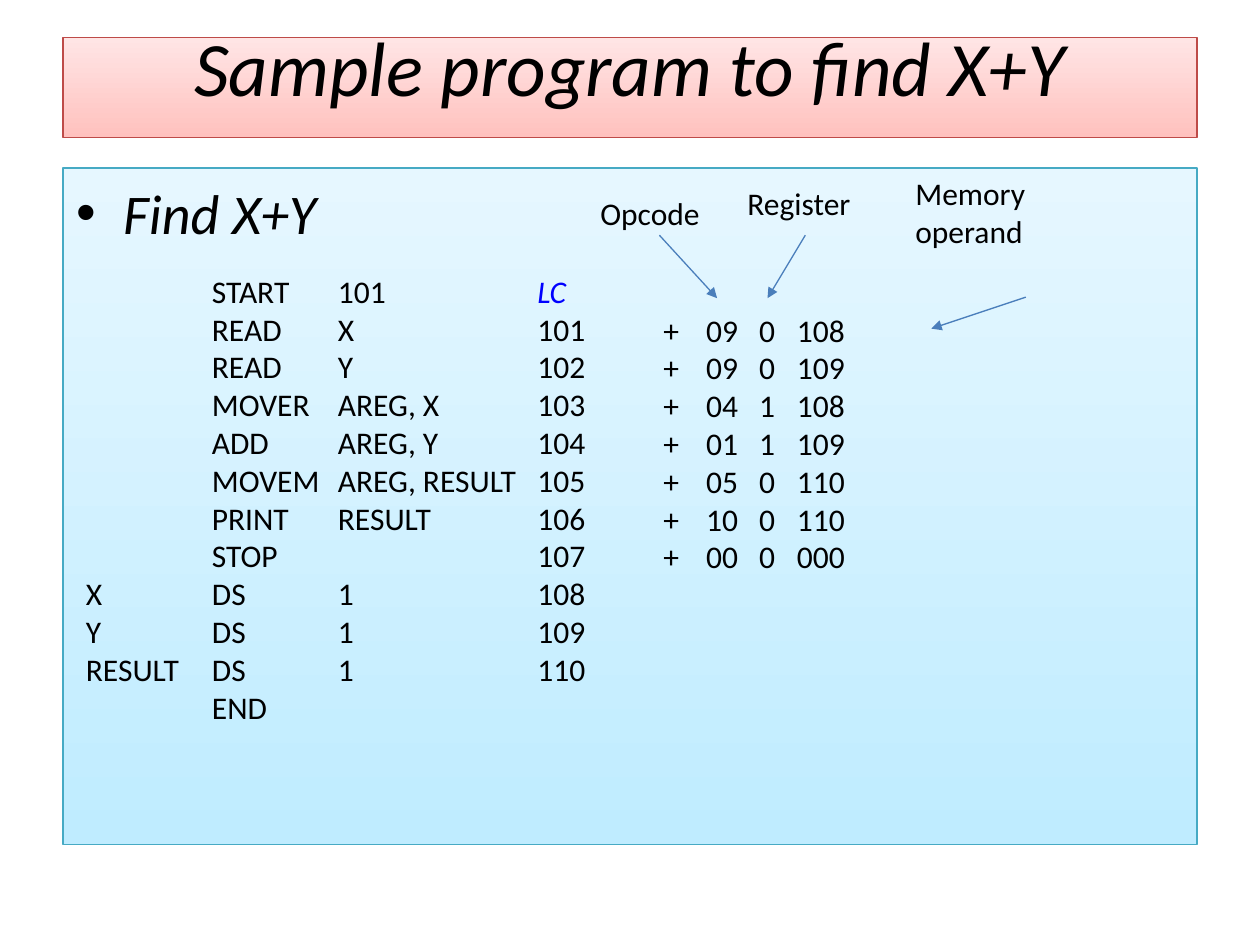
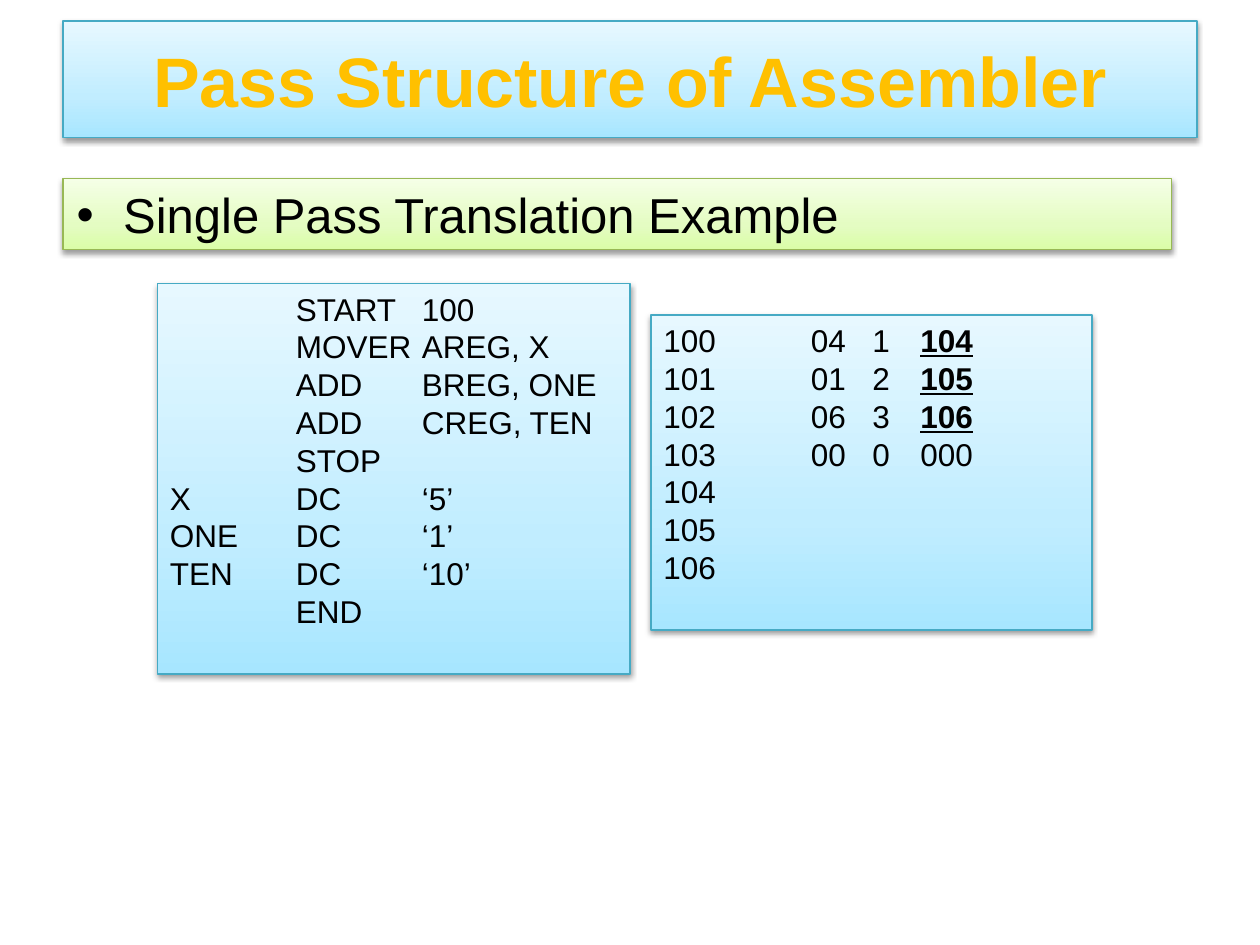
import copy

import pptx
import pptx.dml.color
import pptx.enum.shapes
import pptx.enum.text
import pptx.oxml
import pptx.oxml.ns
import pptx.util
from lxml import etree

COLUMNS, ROWS = 120, 90
WIDTH, HEIGHT = pptx.util.Inches(10), pptx.util.Inches(7.5)
BLACK, BLUE, AMBER = "000000", "0000FF", "FFC000"
ARROW_BLUE = "4A7EBB"
PINK_BAND = (["FFC1BE", "FFE5E5"], "BE4B48")
PALE_BLUE_BAND = (["BFECFF", "E6F7FF"], "46AAC4")
BLUE_BAND = (["A7E6FF", "C1EDFF", "E7F8FF"], "46AAC4")
GREEN_BAND = (["DAFDA7", "E4FCC2", "F5FFE7"], "98B855")
MIDDLE_STOP = 0.35
LISTING_PITCH = 21.6
SOURCE_TABS = (1, 2)
TOP = pptx.enum.text.MSO_ANCHOR.TOP
MIDDLE = pptx.enum.text.MSO_ANCHOR.MIDDLE
LEFT = pptx.enum.text.PP_ALIGN.LEFT
CENTER = pptx.enum.text.PP_ALIGN.CENTER

SUM_SOURCE = [
    "\tSTART\t101", "\tREAD\tX", "\tREAD\tY", "\tMOVER\tAREG, X",
    "\tADD\tAREG, Y", "\tMOVEM\tAREG, RESULT", "\tPRINT\tRESULT", "\tSTOP",
    "X\tDS\t1", "Y\tDS\t1", "RESULT\tDS\t1", "\tEND",
]
SUM_CODES = ["09 0 108", "09 0 109", "04 1 108", "01 1 109",
             "05 0 110", "10 0 110", "00 0 000"]
PASS_SOURCE = [
    "\tSTART\t100", "\tMOVER\tAREG, X", "\tADD\tBREG, ONE",
    "\tADD\tCREG, TEN", "\tSTOP", "X\tDC\t‘5’", "ONE\tDC\t‘1’",
    "TEN\tDC\t‘10’", "\tEND",
]
FORWARD = {"bold": True, "underline": True}
PASS_CODES = [
    ["100\t04\t1\t", ("104", FORWARD)],
    ["101\t01\t2\t", ("105", FORWARD)],
    ["102\t06\t3\t", ("106", FORWARD)],
    "103\t00\t0\t000", "104", "105", "106",
]


def rgb(value):
    return pptx.dml.color.RGBColor.from_string(value)


def across(columns):
    return round(WIDTH * columns / COLUMNS)


def down(rows):
    return round(HEIGHT * rows / ROWS)


def grid_box(left, top, width, height):
    return across(left), down(top), across(width), down(height)


def add_child(parent, tag, **attributes):
    child = etree.SubElement(parent, pptx.oxml.ns.qn(tag))
    for key, value in attributes.items():
        child.set(key, str(value))
    return child


def add_bullet(paragraph):
    properties = paragraph._p.get_or_add_pPr()
    properties.set("marL", str(pptx.util.Inches(0.38)))
    properties.set("indent", str(pptx.util.Inches(-0.37)))
    add_child(properties, "a:buFont", typeface="Arial")
    add_child(properties, "a:buChar", char="•")


def add_tabs(paragraph, stops):
    tab_list = add_child(paragraph._p.get_or_add_pPr(), "a:tabLst")
    for stop in stops:
        add_child(tab_list, "a:tab", pos=pptx.util.Inches(stop), algn="l")


def write_text(holder, lines, font="Calibri", size=18, color=BLACK,
               align=LEFT, anchor=TOP, bullet=False, tabs=(), pitch=None,
               inset_top=0.05, inset_bottom=0.05, **style):
    frame = holder.text_frame
    frame.word_wrap = True
    frame.vertical_anchor = anchor
    frame.margin_top = pptx.util.Inches(inset_top)
    frame.margin_bottom = pptx.util.Inches(inset_bottom)
    for index, line in enumerate(lines):
        paragraph = frame.add_paragraph() if index else frame.paragraphs[0]
        if bullet:
            add_bullet(paragraph)
        if tabs:
            add_tabs(paragraph, tabs)
        paragraph.alignment = align
        if pitch:
            paragraph.line_spacing = pptx.util.Pt(pitch)
        for part in [line] if isinstance(line, str) else line:
            words, changes = (part, {}) if isinstance(part, str) else part
            look = {"color": color, **style, **changes}
            run = paragraph.add_run()
            run.text = words
            run.font.name = font
            run.font.size = pptx.util.Pt(size)
            run.font.color.rgb = rgb(look.pop("color"))
            for key, value in look.items():
                setattr(run.font, key, value)


def add_shadow(band):
    effects = band._element.spPr.find(pptx.oxml.ns.qn("a:effectLst"))
    shadow = add_child(effects, "a:outerShdw", blurRad=pptx.util.Pt(3.1),
                       dist=pptx.util.Pt(1.6), dir=5400000, rotWithShape=0)
    add_child(add_child(shadow, "a:srgbClr", val=BLACK), "a:alpha", val=38000)


def add_band(slide, place, palette, lines, shadow=False, **text_format):
    colors, outline = palette
    band = slide.shapes.add_shape(
        pptx.enum.shapes.MSO_SHAPE.RECTANGLE, *grid_box(*place))
    band.shadow.inherit = False
    band.fill.gradient()
    band.fill.gradient_angle = 90
    if len(colors) == 3:
        stops = band._element.spPr.find(".//" + pptx.oxml.ns.qn("a:gsLst"))
        stops.insert(1, copy.deepcopy(stops[0]))
    positions = [0, MIDDLE_STOP, 1] if len(colors) == 3 else [0, 1]
    for stop, color, position in zip(
            band.fill.gradient_stops, colors, positions):
        stop.color.rgb = rgb(color)
        stop.position = position
    band.line.color.rgb = rgb(outline)
    band.line.width = pptx.util.Pt(0.75)
    if shadow:
        add_shadow(band)
    write_text(band, lines, **text_format)


def add_listing(slide, place, lines, **text_format):
    listing = slide.shapes.add_textbox(*grid_box(*place))
    write_text(listing, lines, pitch=LISTING_PITCH, **text_format)


def add_arrow(slide, start, end):
    arrow = slide.shapes.add_connector(
        pptx.enum.shapes.MSO_CONNECTOR.STRAIGHT,
        across(start[0]), down(start[1]), across(end[0]), down(end[1]))
    arrow.line.color.rgb = rgb(ARROW_BLUE)
    arrow.line.width = pptx.util.Pt(0.75)
    add_child(arrow.line._get_or_add_ln(), "a:tailEnd", type="triangle")
    add_child(arrow._element.spPr, "a:effectLst")


def build_sum_program(slide):
    add_band(slide, (6, 3.6, 108, 9.5), PINK_BAND,
             ["Sample program to find X+Y"], size=44, italic=True,
             align=CENTER, anchor=MIDDLE, inset_top=0, inset_bottom=0.35)
    add_band(slide, (6, 16, 108, 64.4), PALE_BLUE_BAND, ["Find X+Y"],
             size=32, italic=True, bullet=True, inset_top=0.08)
    add_listing(slide, (7, 25.3, 51, 44.4), SUM_SOURCE, tabs=SOURCE_TABS)
    counter = [[("LC", {"color": BLUE, "italic": True})]]
    counter += [str(address) for address in range(101, 111)]
    add_listing(slide, (50, 25.3, 49.3, 40.8), counter)
    codes = ["+\t" + code.replace(" ", "\t") for code in SUM_CODES]
    add_listing(slide, (62, 29, 42, 26.4), codes, tabs=(0.34, 0.76, 1.06))
    for label, left, top, height in [("Opcode", 56, 17.9, 4.8),
                                     ("Register", 70, 16.9, 4.8),
                                     ("Memory operand", 86, 16, 8.4)]:
        add_listing(slide, (left, top, 15, height), [label])
    for start, end in [((62.8, 22.4), (68.3, 28.4)),
                       ((76.7, 22.4), (73.1, 28.4)),
                       ((97.7, 28.3), (88.7, 31.3))]:
        add_arrow(slide, start, end)


def build_pass_structure(slide):
    shared = {"font": "Arial", "shadow": True}
    add_band(slide, (6, 2, 108, 11.1), BLUE_BAND,
             ["Pass Structure of Assembler"], size=40, color=AMBER,
             bold=True, align=CENTER, anchor=MIDDLE, **shared)
    add_band(slide, (15, 27, 45, 37.2), BLUE_BAND, PASS_SOURCE,
             tabs=SOURCE_TABS, pitch=LISTING_PITCH, **shared)
    add_band(slide, (62, 30, 42, 30), BLUE_BAND, PASS_CODES,
             tabs=(1.17, 1.66, 2.04), pitch=LISTING_PITCH, **shared)
    add_band(slide, (6, 17, 105.6, 6.8), GREEN_BAND,
             ["Single Pass Translation Example"], size=28, bullet=True,
             **shared)


def main():
    deck = pptx.Presentation()
    deck.slide_width, deck.slide_height = WIDTH, HEIGHT
    blank = deck.slide_layouts[6]
    for build in (build_sum_program, build_pass_structure):
        build(deck.slides.add_slide(blank))
    deck.save("out.pptx")


if __name__ == "__main__":
    main()
